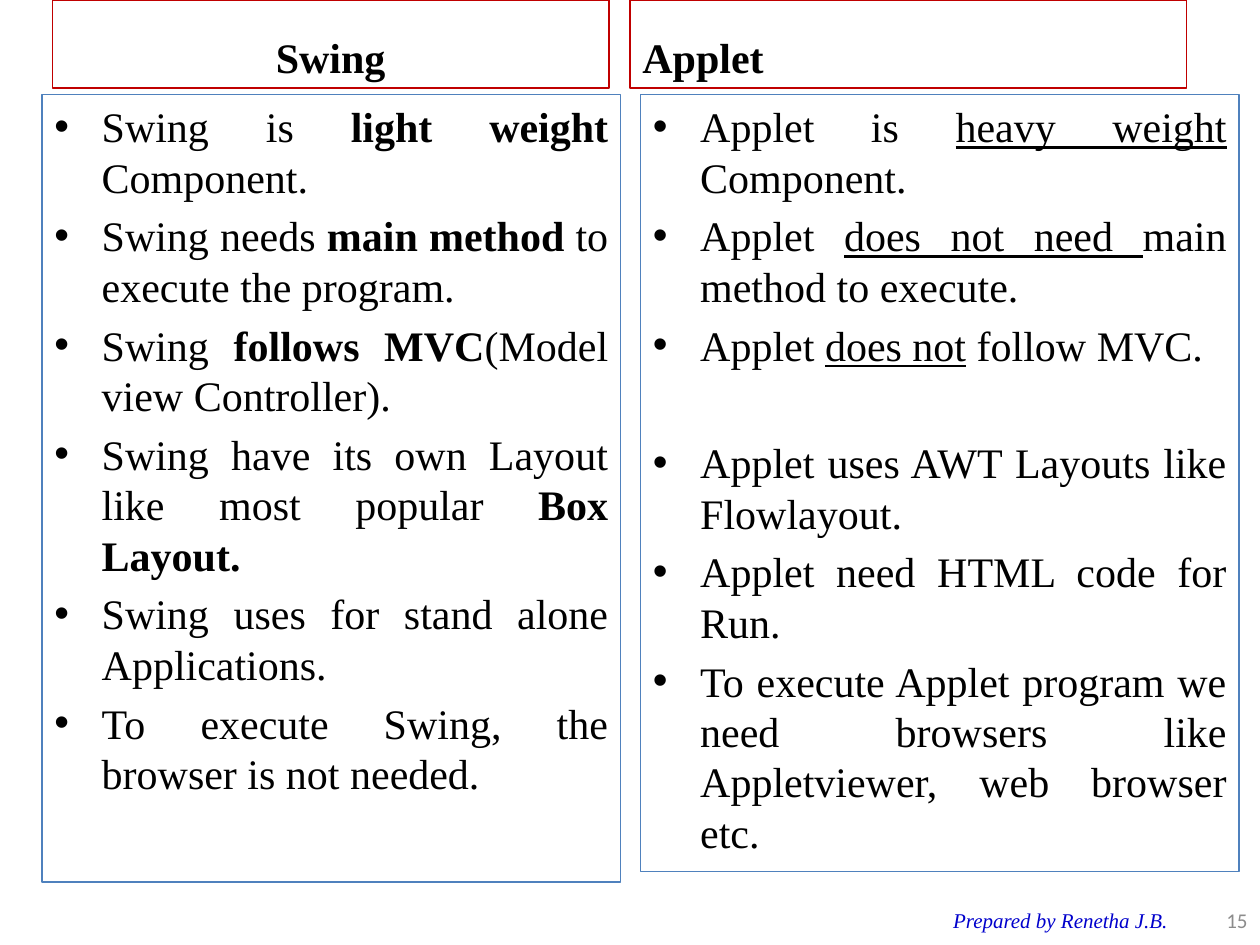
from dataclasses import dataclass

from lxml.etree import SubElement
from pptx import Presentation
from pptx.dml.color import RGBColor
from pptx.enum.shapes import MSO_SHAPE as Preset
from pptx.enum.text import MSO_ANCHOR as Anchor, PP_ALIGN as Align
from pptx.oxml.ns import qn
from pptx.util import Emu, Pt

PX = 914400 // 120
COLORS = {
    "ink": "000000",
    "heading": "C00000",
    "list": "4F81BD",
    "credit": "0000CC",
    "number": "8C8C8C",
}
SERIF = "Times New Roman"
HANGING = 45
GAP, LINE = 4.8, 28.8


@dataclass(frozen=True)
class Box:
    left: int
    top: int
    width: int
    height: int

    def emu(self) -> list[Emu]:
        return [Emu(n * PX) for n in (self.left, self.top, self.width, self.height)]


@dataclass(frozen=True)
class Point:
    text: str
    before: float = GAP


@dataclass(frozen=True)
class Column:
    title: str
    title_align: Align
    title_box: Box
    list_box: Box
    emphasis: str
    points: list[Point]


@dataclass(frozen=True)
class Footer:
    text: str
    box: Box
    align: Align
    color: str
    font: dict


COLUMNS = [
    Column("Swing", Align.CENTER, Box(50, 0, 530, 84), Box(40, 90, 551, 750), "bold", [
        Point("Swing is *light weight *Component.", 0),
        Point("Swing needs *main method* to execute the program."),
        Point("Swing *follows MVC*(Model view Controller)."),
        Point("Swing have its own Layout like most popular *Box Layout.*"),
        Point("Swing uses for stand alone Applications."),
        Point("To execute Swing, the browser is not needed."),
    ]),
    Column("Applet", Align.LEFT, Box(600, 0, 530, 84), Box(610, 90, 570, 740), "underline", [
        Point("Applet is *heavy weight *Component.", 0),
        Point("Applet *does not need *main method to execute."),
        Point("Applet *does not* follow MVC."),
        Point("Applet uses AWT Layouts like Flowlayout.", LINE + 2 * GAP),
        Point("Applet need HTML code for Run."),
        Point("To execute Applet program we need browsers like "
              "Appletviewer, web browser etc."),
    ]),
]
FOOTERS = [
    Footer("Prepared by Renetha J.B.", Box(820, 852, 380, 48), Align.CENTER, "credit",
           {"name": SERIF, "size": Pt(12), "italic": True}),
    Footer("15", Box(1140, 852, 60, 48), Align.RIGHT, "number",
           {"name": "Calibri", "size": Pt(12)}),
]


def apply(target, values: dict) -> None:
    for key, value in values.items():
        setattr(target, key, value)


def add_run(paragraph, text: str, color: str, font: dict) -> None:
    run = paragraph.add_run()
    run.text = text
    apply(run.font, font)
    run.font.color.rgb = RGBColor.from_string(COLORS[color])


def add_bullet(paragraph) -> None:
    properties = paragraph._p.get_or_add_pPr()
    properties.set("marL", str(HANGING * PX))
    properties.set("indent", str(-HANGING * PX))
    SubElement(properties, qn("a:buFont"), typeface="Arial")
    SubElement(properties, qn("a:buChar"), char="•")


def add_panel(slide, box: Box, border: str, anchor: Anchor):
    panel = slide.shapes.add_shape(Preset.RECTANGLE, *box.emu())
    panel.shadow.inherit = False
    panel.fill.background()
    panel.line.color.rgb = RGBColor.from_string(COLORS[border])
    panel.line.width = Pt(0.75)
    apply(panel.text_frame, {"word_wrap": True, "vertical_anchor": anchor})
    return panel.text_frame


def add_column(slide, column: Column) -> None:
    body_font = {"name": SERIF, "size": Pt(24)}
    title = add_panel(slide, column.title_box, "heading", Anchor.BOTTOM).paragraphs[0]
    title.alignment = column.title_align
    add_run(title, column.title, "ink", body_font | {"bold": True})

    body = add_panel(slide, column.list_box, "list", Anchor.TOP)
    for index, point in enumerate(column.points):
        paragraph = body.add_paragraph() if index else body.paragraphs[0]
        add_bullet(paragraph)
        apply(paragraph, {
            "alignment": Align.JUSTIFY,
            "line_spacing": Pt(LINE),
            "space_before": Pt(point.before),
        })
        for part, text in enumerate(point.text.split("*")):
            if text:
                add_run(paragraph, text, "ink",
                        body_font | {column.emphasis: part % 2 == 1})


def add_footer(slide, footer: Footer) -> None:
    frame = slide.shapes.add_textbox(*footer.box.emu()).text_frame
    apply(frame, {"word_wrap": True, "vertical_anchor": Anchor.MIDDLE})
    frame.paragraphs[0].alignment = footer.align
    add_run(frame.paragraphs[0], footer.text, footer.color, footer.font)


def main() -> None:
    deck = Presentation()
    apply(deck, {"slide_width": Emu(1200 * PX), "slide_height": Emu(900 * PX)})
    slide = deck.slides.add_slide(deck.slide_layouts[6])
    for column in COLUMNS:
        add_column(slide, column)
    for footer in FOOTERS:
        add_footer(slide, footer)
    deck.save("out.pptx")


if __name__ == "__main__":
    main()
